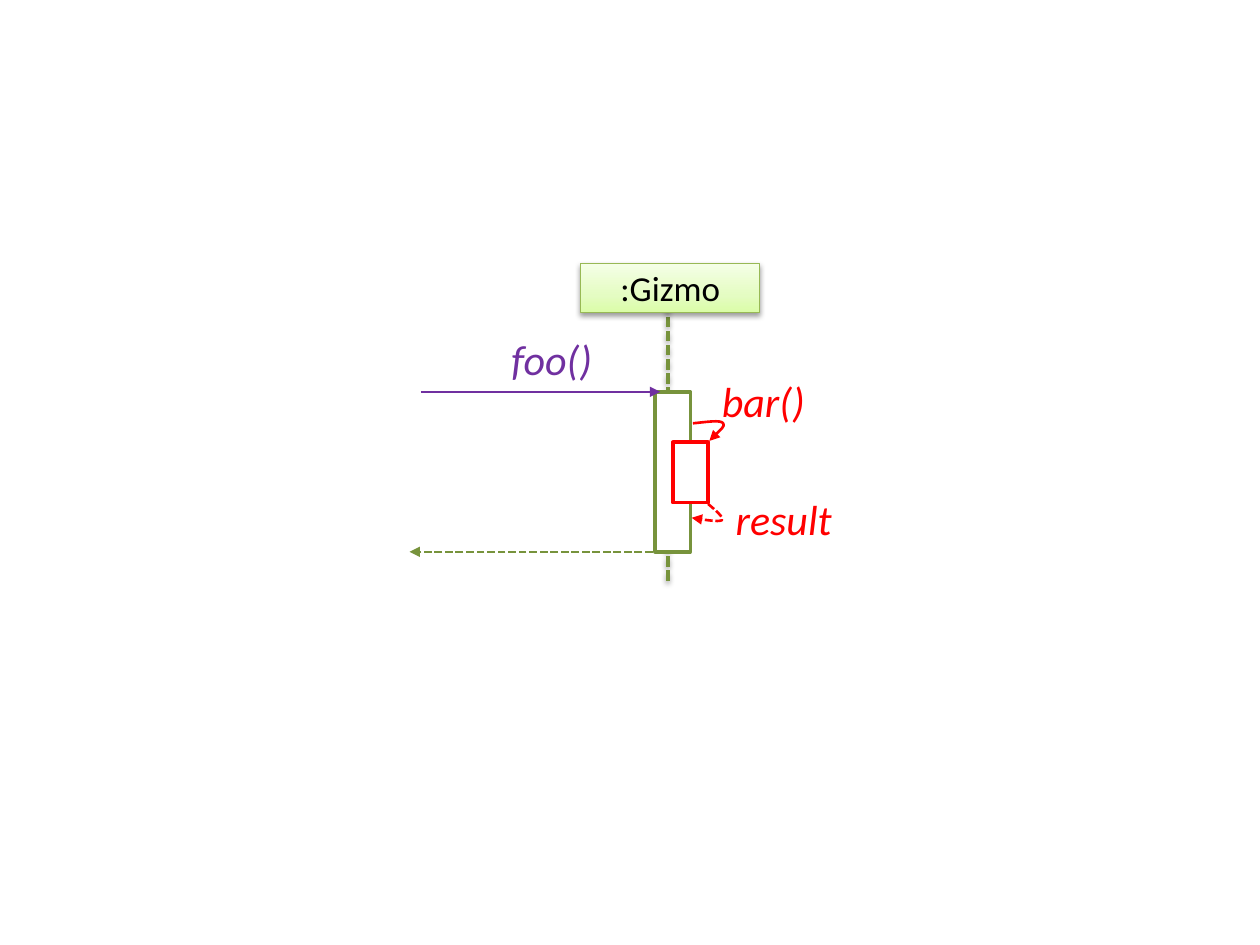
from lxml.etree import SubElement
from pptx import Presentation
from pptx.dml.color import RGBColor
from pptx.enum.dml import MSO_LINE
from pptx.enum.shapes import MSO_CONNECTOR, MSO_SHAPE
from pptx.enum.text import MSO_ANCHOR, MSO_AUTO_SIZE, PP_ALIGN
from pptx.oxml import parse_xml
from pptx.oxml.ns import nsdecls, qn
from pptx.util import Inches, Pt

GREEN = RGBColor(0x77, 0x93, 0x3C)
HEADER_EDGE = RGBColor(0x98, 0xB9, 0x55)
PURPLE = RGBColor(0x70, 0x30, 0xA0)
RED = RGBColor(0xFF, 0x00, 0x00)
BLACK = RGBColor(0x00, 0x00, 0x00)
WHITE = RGBColor(0xFF, 0xFF, 0xFF)

# Content, in inches on the slide
CALL_Y, RETURN_Y = 3.11, 4.38  # start and end of the outer activation
BAR_W = 0.28
LIFELINE = ((5.3, 2.29), (5.3, 4.61))
RETURN_ARROW = ((5.18, RETURN_Y), (3.25, RETURN_Y))
CALL_ARROW = ((3.34, CALL_Y), (5.24, CALL_Y))
OUTER_BAR = (5.2, CALL_Y, BAR_W, RETURN_Y - CALL_Y)
INNER_BAR = (5.34, 3.51, BAR_W, 0.48)
HEADER = (":Gizmo", (4.61, 2.09, 1.42, 0.39))
LABELS = [  # text, box, colour
    ("foo()", (3.96, 2.6, 1.16, 0.5), PURPLE),
    ("bar()", (5.63, 2.93, 0.99, 0.5), RED),
    ("result", (5.74, 3.87, 0.99, 0.5), RED),
]
SELF_CALLS = [  # start, then three Bezier points per curve; dashed
    ([(5.5, 3.36), (5.61, 3.35), (5.72, 3.33), (5.74, 3.36),
      (5.76, 3.38), (5.63, 3.5), (5.63, 3.5)], False),
    ([(5.62, 4), (5.68, 4.05), (5.75, 4.11), (5.73, 4.13),
      (5.71, 4.14), (5.6, 4.13), (5.49, 4.11)], True),
]
HEADER_STOPS = [(0, "DAFDA7"), (35, "E4FCC2"), (100, "F5FFE7")]

presentation = Presentation()
presentation.slide_width, presentation.slide_height = Inches(10), Inches(7.5)
slide = presentation.slides.add_slide(presentation.slide_layouts[6])
shapes = slide.shapes


def inches(values):
    return [Inches(value) for value in values]


def style_line(item, color, width, dashed=False, arrow=False, shadow=False):
    item.line.color.rgb = color
    item.line.width = Pt(width)
    if dashed:
        item.line.dash_style = MSO_LINE.SQUARE_DOT
    properties = item._element.spPr
    if arrow:
        SubElement(properties.find(qn("a:ln")), qn("a:tailEnd"), type="triangle")
    effects = SubElement(properties, qn("a:effectLst"))
    if shadow:
        outer = SubElement(effects, qn("a:outerShdw"), blurRad=str(Pt(3.1)),
                           dist=str(Pt(1.6)), dir="5400000", rotWithShape="0")
        black = SubElement(outer, qn("a:srgbClr"), val="000000")
        SubElement(black, qn("a:alpha"), val="38000")


def add_line(ends, *style, **options):
    start, end = ends
    line = shapes.add_connector(MSO_CONNECTOR.STRAIGHT, *inches(start + end))
    style_line(line, *style, **options)


def add_bar(box, color):
    bar = shapes.add_shape(MSO_SHAPE.RECTANGLE, *inches(box))
    bar.fill.solid()
    bar.fill.fore_color.rgb = WHITE
    style_line(bar, color, 2)


def write(frame, text, size, color, italic=False):
    frame.text = text
    font = frame.paragraphs[0].runs[0].font
    font.name, font.size, font.italic = "Calibri", Pt(size), italic
    font.color.rgb = color


def add_label(text, box, color):
    label = shapes.add_textbox(*inches(box)).text_frame
    label.word_wrap = True
    label.auto_size = MSO_AUTO_SIZE.SHAPE_TO_FIT_TEXT
    write(label, text, 24, color, italic=True)


def add_header(text, box):
    header = shapes.add_shape(MSO_SHAPE.RECTANGLE, *inches(box))
    stops = "".join(f'<a:gs pos="{share * 1000}"><a:srgbClr val="{color}"/></a:gs>'
                    for share, color in HEADER_STOPS)
    gradient = parse_xml(
        f'<a:gradFill {nsdecls("a")} rotWithShape="1"><a:gsLst>{stops}</a:gsLst>'
        '<a:lin ang="16200000" scaled="0"/></a:gradFill>')
    header._element.spPr.find(qn("a:prstGeom")).addnext(gradient)
    style_line(header, HEADER_EDGE, 0.75, shadow=True)
    frame = header.text_frame
    frame.margin_left = frame.margin_right = 0
    frame.margin_top = frame.margin_bottom = 0
    frame.vertical_anchor = MSO_ANCHOR.MIDDLE
    write(frame, text, 20, BLACK)
    frame.paragraphs[0].alignment = PP_ALIGN.CENTER


def add_curve(points, dashed):
    start, *rest = [inches(point) for point in points]
    builder = shapes.build_freeform(*start)
    builder.add_line_segments(rest, close=False)
    curve = builder.convert_to_shape()
    curve.fill.background()
    style_line(curve, RED, 1.5, dashed=dashed, arrow=True)
    # Turn each three segments into one Bezier curve
    segments = list(curve._element.iter(qn("a:lnTo")))
    outline = segments[0].getparent()
    for first in range(0, len(segments), 3):
        bezier = SubElement(outline, qn("a:cubicBezTo"))
        for segment in segments[first:first + 3]:
            bezier.append(segment[0])
            outline.remove(segment)


# Lifeline, outer activation and its messages
add_line(LIFELINE, GREEN, 2, dashed=True, shadow=True)
add_line(RETURN_ARROW, GREEN, 1.5, dashed=True, arrow=True)
add_bar(OUTER_BAR, GREEN)
add_line(CALL_ARROW, PURPLE, 1.5, arrow=True)

# Inner activation, object header and self calls
add_bar(INNER_BAR, RED)
add_header(*HEADER)
for points, dashed in SELF_CALLS:
    add_curve(points, dashed)

# Message labels
for label in LABELS:
    add_label(*label)

presentation.save("out.pptx")
